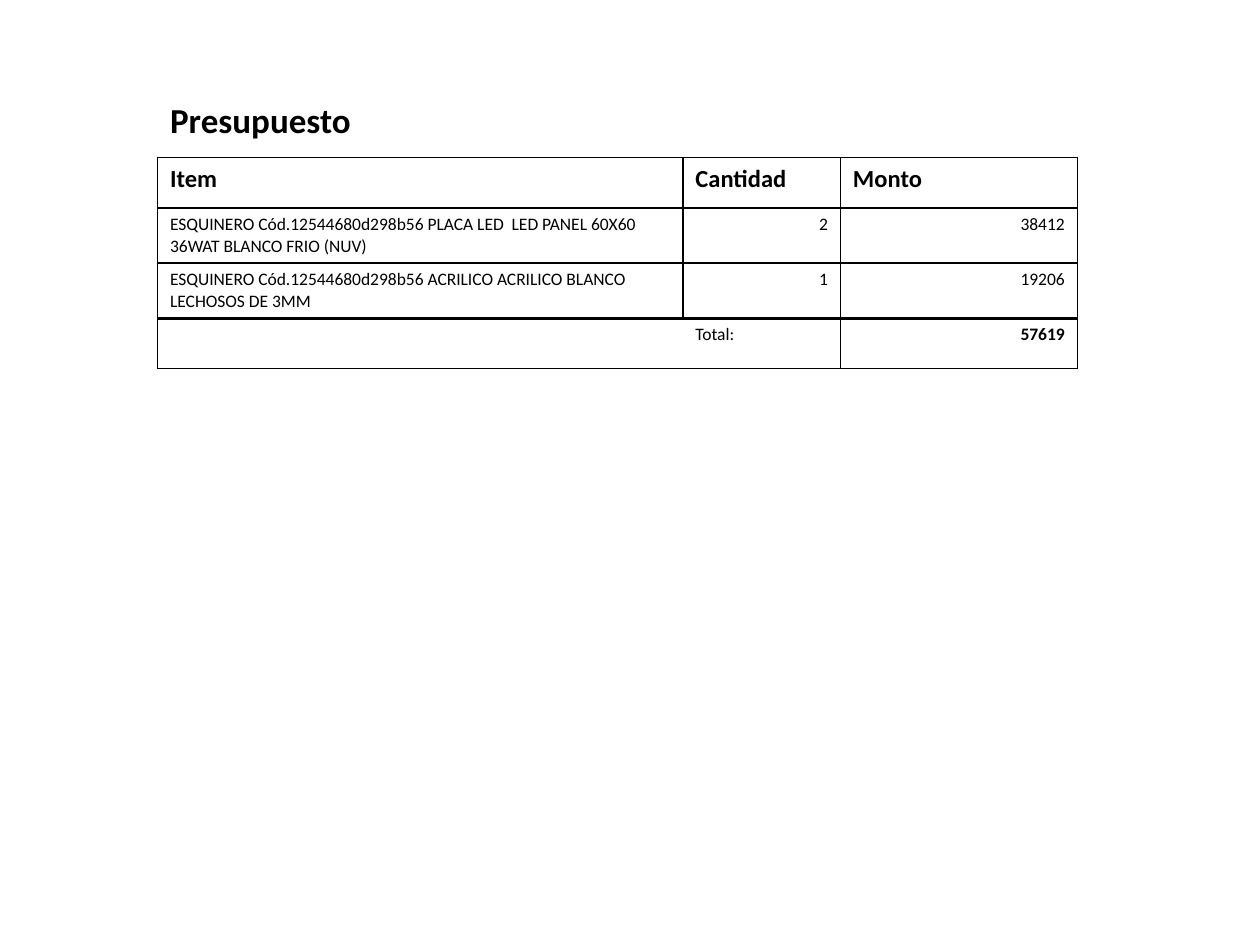
import pptx
import pptx.dml.color
import pptx.enum.text
import pptx.oxml.ns
import pptx.util
from lxml import etree

Inches = pptx.util.Inches
ALIGN = pptx.enum.text.PP_ALIGN
SIDES = ("L", "R", "T", "B")


def color(value):
    return pptx.dml.color.RGBColor.from_string(value)


def write_text(frame, text, size=10, bold=False, align=ALIGN.LEFT,
               font="Calibri", ink="000000"):
    para = frame.paragraphs[0]
    para.alignment = align
    # The paragraph font also sizes an empty cell
    span = para.add_run() if text else para
    if text:
        span.text = text
    span.font.name = font
    span.font.size = pptx.util.Pt(size)
    span.font.bold = bold
    span.font.color.rgb = color(ink)


class BudgetSlide:
    ink = "000000"
    paper = "FFFFFF"

    def __init__(self, deck):
        self.page = deck.slides.add_slide(deck.slide_layouts[5])

    def title(self, text, left, top, width, height):
        box = self.page.shapes.title
        box.left, box.top = Inches(left), Inches(top)
        box.width, box.height = Inches(width), Inches(height)
        frame = box.text_frame
        frame.word_wrap = True
        frame.auto_size = pptx.enum.text.MSO_AUTO_SIZE.NONE
        frame.vertical_anchor = pptx.enum.text.MSO_ANCHOR.TOP
        write_text(frame, text, size=20, bold=True, ink=self.ink)

    def border(self, cell, widths):
        properties = cell._tc.get_or_add_tcPr()
        for side in SIDES:
            points = widths.get(side, 1)
            line = etree.SubElement(properties, pptx.oxml.ns.qn(f"a:ln{side}"),
                                    w=str(pptx.util.Pt(points)))
            if points:
                fill = etree.SubElement(line, pptx.oxml.ns.qn("a:solidFill"))
                etree.SubElement(fill, pptx.oxml.ns.qn("a:srgbClr"), val=self.ink)
            else:
                etree.SubElement(line, pptx.oxml.ns.qn("a:noFill"))

    def table(self, rows, left, top, widths, row_height):
        shape = self.page.shapes.add_table(
            len(rows), len(widths), Inches(left), Inches(top),
            Inches(sum(widths)), Inches(row_height * len(rows)))
        grid = shape.table
        grid.first_row = grid.horz_banding = False
        for column, width in zip(grid.columns, widths):
            column.width = Inches(width)
        for line in grid.rows:
            line.height = Inches(row_height)

        total = len(rows) - 1
        for r, values in enumerate(rows):
            for c, text in enumerate(values):
                cell = grid.cell(r, c)
                number = text.isdigit()
                write_text(cell.text_frame, text, size=14 if r == 0 else 10,
                           bold=r == 0 or (r == total and number),
                           align=ALIGN.RIGHT if number else ALIGN.LEFT,
                           ink=self.ink)
                # Heavier rule above the total, none inside its label
                edges = {}
                if r == total - 1:
                    edges["B"] = 2
                if r == total and c < 2:
                    edges["R" if c == 0 else "L"] = 0
                self.border(cell, edges)
                if r == total:
                    cell.fill.background()
                else:
                    cell.fill.solid()
                    cell.fill.fore_color.rgb = color(self.paper)


def main():
    deck = pptx.Presentation()
    deck.slide_width, deck.slide_height = Inches(10), Inches(7.5)
    budget = BudgetSlide(deck)

    # Heading
    budget.title("Presupuesto", 1.25, 0.73, 6.25, 3.12)

    # Budget items and total
    code = "ESQUINERO Cód.12544680d298b56"
    rows = [
        ("Item", "Cantidad", "Monto"),
        (f"{code} PLACA LED  LED PANEL 60X60 36WAT BLANCO FRIO (NUV)", "2", "38412"),
        (f"{code} ACRILICO ACRILICO BLANCO LECHOSOS DE 3MM", "1", "19206"),
        ("", "Total:", "57619"),
    ]
    budget.table(rows, 1.25, 1.25, (4.17, 1.25, 1.88), 0.4)

    deck.save("out.pptx")


if __name__ == "__main__":
    main()
